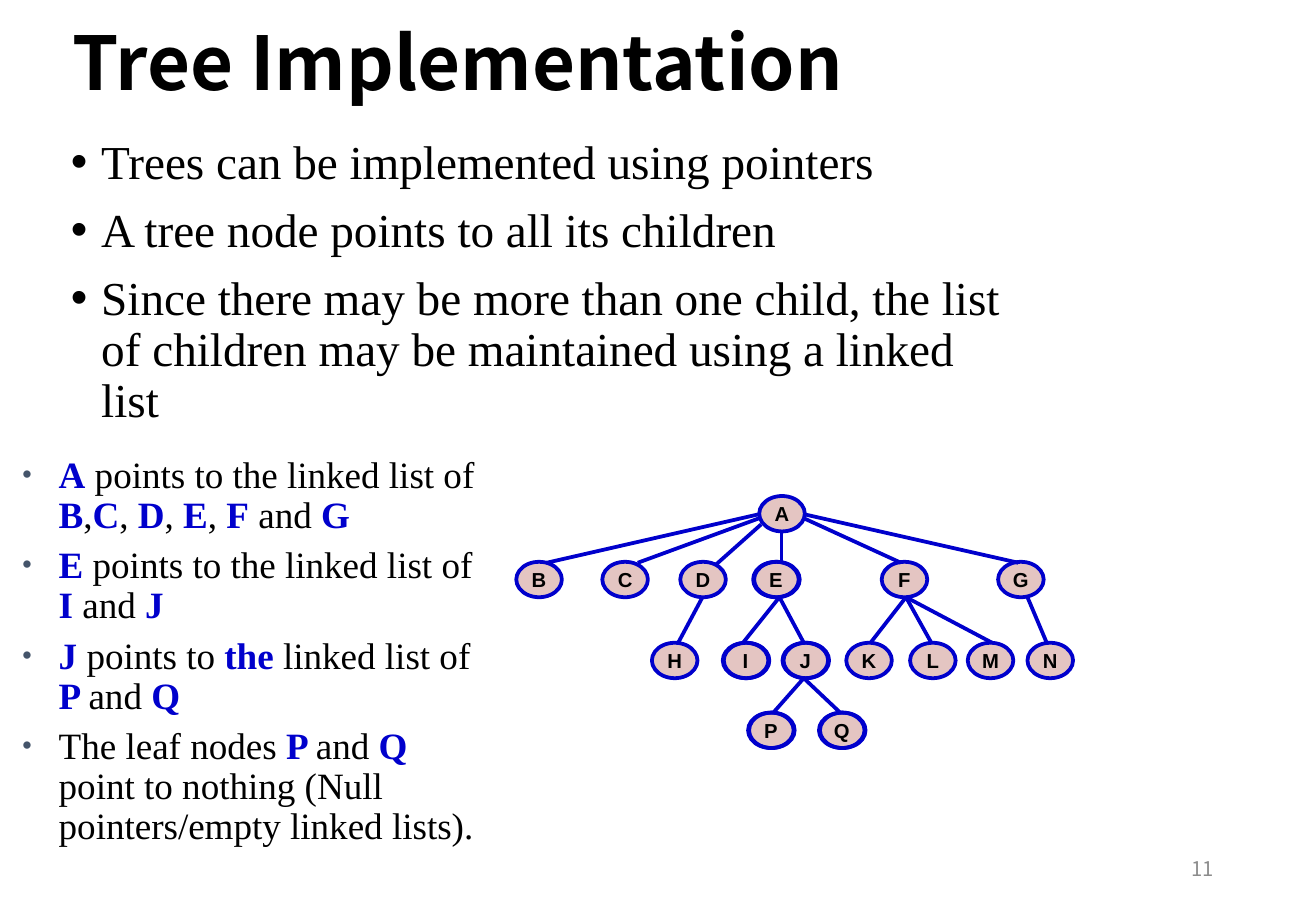
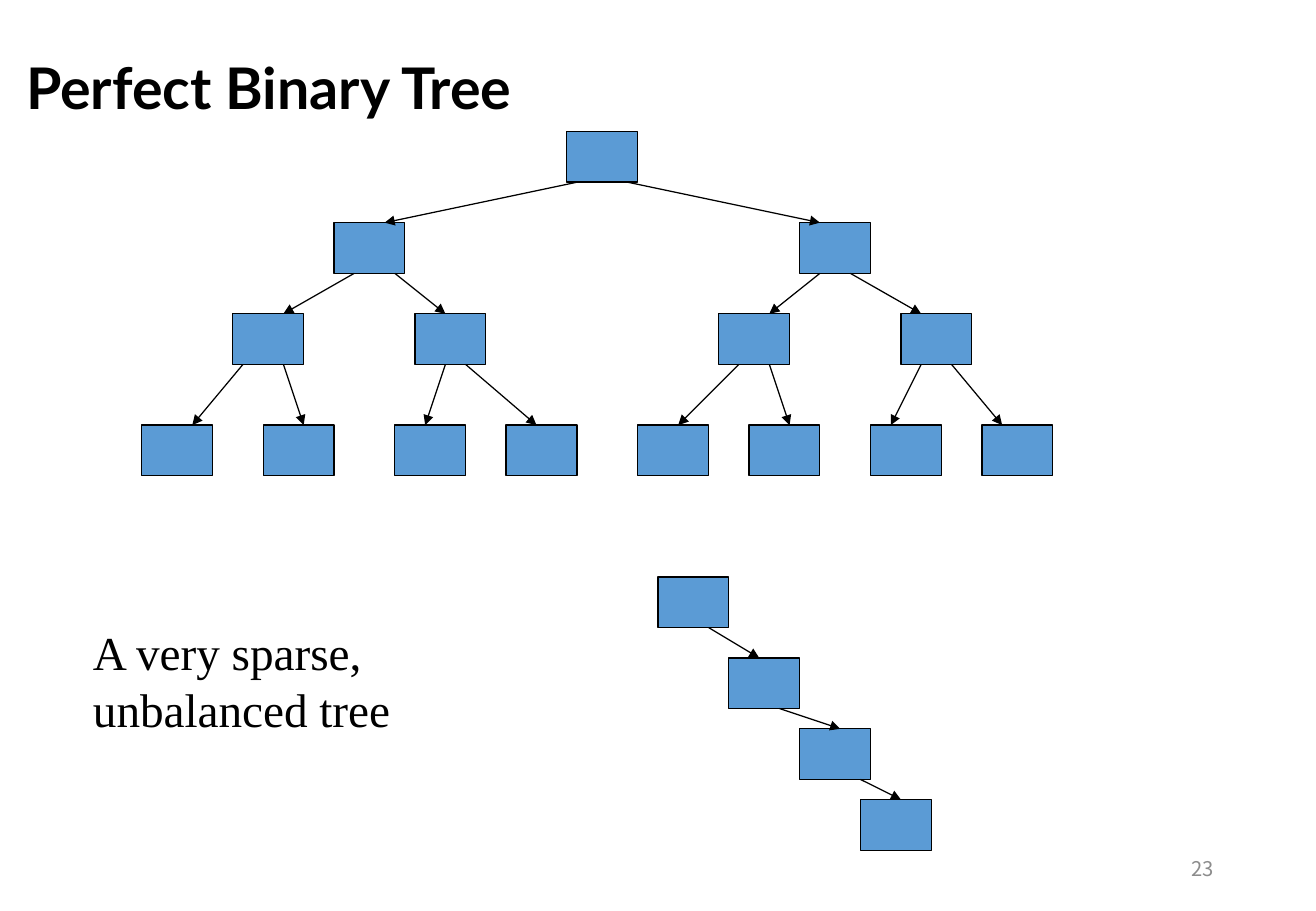
"""Build two slides on trees: linked-list implementation and binary shapes."""
from lxml.etree import SubElement
from pptx import Presentation
from pptx.dml.color import RGBColor
from pptx.enum.shapes import MSO_CONNECTOR as Conn, MSO_SHAPE as Shape
from pptx.enum.text import MSO_ANCHOR as Anchor, MSO_AUTO_SIZE as Fit, PP_ALIGN as Align
from pptx.oxml.ns import qn
from pptx.util import Pt

PX = 7620
BLACK, BLUE, PINK, BOX, GREY, SLATE = "000000", "0000CC", "E4C5C2", "5B9BD5", "8C8C8C", "44546A"
SERIF, SANS, HEAD, LABEL = "Times New Roman", "Noto Sans CJK SC", "Lato", "Arial"

POINTS = [
    "Trees can be implemented using pointers",
    "A tree node points to all its children",
    "Since there may be more than one child, the list of children may be maintained using a linked list",
]
NOTES = [
    "*A* points to the linked list of *B*,*C*, *D*, *E*, *F* and *G*",
    "*E *points to the linked list of *I* and *J*",
    "*J *points to* the *linked list of* P *and *Q*",
    "The leaf nodes* P *and *Q *point to nothing (Null pointers/empty linked lists).",
]

OVAL = (45, 35)
NODES = {
    490: {"A": 750},
    555: {"B": 510, "C": 595, "D": 672, "E": 744, "F": 871, "G": 986},
    635: {"H": 644, "I": 714, "J": 773, "K": 836, "L": 899, "M": 956, "N": 1015},
    704: {"P": 739, "Q": 809},
}
RINGS = "EIJPQ"
FAN = [
    (750, 508, 540, 556), (750, 512, 630, 556), (752, 518, 707, 558),
    (772, 526, 772, 556), (794, 512, 890, 556), (794, 508, 1006, 556),
]
TWIGS = [
    (694, 590, 635, [670]), (770, 590, 635, [734, 794]),
    (895, 590, 635, [860, 920, 980]), (1015, 590, 635, [1034]),
    (794, 670, 704, [764, 830]),
]

RECT = (70, 50)
LEVELS = [
    (130, [560]),
    (220, [330, 790]),
    (310, [230, 410, 710, 890]),
    (420, [140, 260, 390, 500, 630, 740, 860, 970]),
]
CHAIN = [(570, [650]), (650, [720]), (720, [790]), (790, [850])]
ARROWS = [
    [(570, 380), (620, 810)],
    [(350, 280), (390, 440), (810, 760), (840, 910)],
    [(240, 190), (280, 300), (440, 420), (460, 530),
     (730, 670), (760, 780), (910, 880), (940, 990)],
]
LINKS = [[(700, 750)], [(770, 830)], [(850, 890)]]


def emu(*nums):
    return [n * PX for n in nums]


def tint(code):
    return RGBColor.from_string(code)


def style(run, size, font, color=BLACK, bold=False):
    run.font.size, run.font.name, run.font.bold = Pt(size), font, bold
    run.font.color.rgb = tint(color)


def place(item, *at):
    item.left, item.top, item.width, item.height = emu(*at)


def head(slide, text, at, size, font, anchor):
    title = slide.shapes.title
    place(title, *at)
    frame = title.text_frame
    frame.text = text
    frame.auto_size, frame.vertical_anchor = Fit.NONE, anchor
    para = frame.paragraphs[0]
    para.alignment = Align.LEFT
    style(para.runs[0], size, font, bold=True)
    return frame


def box(slide, text, at, size, font, color=BLACK):
    frame = slide.shapes.add_textbox(*emu(*at)).text_frame
    frame.text, frame.word_wrap = text, True
    style(frame.paragraphs[0].runs[0], size, font, color)
    return frame


def number(slide, text):
    frame = box(slide, text, (918, 834, 293, 48), 12, SANS, GREY)
    frame.vertical_anchor = Anchor.MIDDLE
    frame.paragraphs[0].alignment = Align.RIGHT


def bullet(para, dent, color, scale):
    props = para._p.get_or_add_pPr()
    props.set("marL", str(dent * PX))
    props.set("indent", str(-dent * PX))
    SubElement(SubElement(props, qn("a:buClr")), qn("a:srgbClr"), val=color)
    SubElement(props, qn("a:buSzPct"), val=str(scale * 1000))
    SubElement(props, qn("a:buFont"), typeface=LABEL)
    SubElement(props, qn("a:buChar"), char="•")


def fill_list(body, lines, at, size, gap, dent, color=BLACK, scale=100):
    place(body, *at)
    frame = body.text_frame
    frame.auto_size = Fit.NONE
    for i, line in enumerate(lines):
        para = frame.add_paragraph() if i else frame.paragraphs[0]
        para.line_spacing, para.space_before = 0.9, Pt(gap)
        bullet(para, dent, color, scale)
        for j, part in enumerate(line.split("*")):
            if part:
                run = para.add_run()
                run.text = part
                style(run, size, SERIF, BLUE if j % 2 else BLACK, j % 2 == 1)


def node(slide, kind, x, y, size, fill, line, width):
    item = slide.shapes.add_shape(kind, *emu(x, y, *size))
    item.shadow.inherit = False
    if fill:
        item.fill.solid()
        item.fill.fore_color.rgb = tint(fill)
    else:
        item.fill.background()
    item.line.color.rgb, item.line.width = tint(line), Pt(width)
    return item


def oval(slide, x, y, fill=None):
    return node(slide, Shape.OVAL, x, y, OVAL, fill, BLUE, 2.25)


def label(item, text):
    frame = item.text_frame
    frame.text, frame.word_wrap = text, False
    frame.vertical_anchor = Anchor.MIDDLE
    frame.paragraphs[0].alignment = Align.CENTER
    style(frame.paragraphs[0].runs[0], 12, LABEL, bold=True)


def edge(slide, ends, color, width, arrow=False):
    line = slide.shapes.add_connector(Conn.STRAIGHT, *emu(*ends))
    line.line.color.rgb, line.line.width = tint(color), Pt(width)
    if arrow:
        SubElement(line.line._get_or_add_ln(), qn("a:tailEnd"), type="triangle")
    SubElement(line._element.spPr, qn("a:effectLst"))


def draw_tree(slide, rows, arrows):
    for y, lefts in rows:
        for x in lefts:
            node(slide, Shape.RECTANGLE, x, y, RECT, BOX, BLACK, 0.75)
    for (top, _), (low, _), pairs in zip(rows, rows[1:], arrows):
        for start, end in pairs:
            edge(slide, (start, top + RECT[1], end, low), BLACK, 0.75, True)


def lists(deck):
    slide = deck.slides.add_slide(deck.slide_layouts[3])
    head(slide, "Tree Implementation", (60, 10, 950, 150), 44, SANS, Anchor.TOP)
    fill_list(slide.placeholders[1], POINTS, (58, 131, 950, 289), 28, 10, 30)
    for y, row in NODES.items():
        for name, x in row.items():
            label(oval(slide, x, y, PINK), name)
            if name in RINGS:
                oval(slide, x + 1, y)
    twigs = [(x, y, end, low) for x, y, low, ends in TWIGS for end in ends]
    for ends in FAN + twigs:
        edge(slide, ends, BLUE, 2.25)
    fill_list(slide.placeholders[2], NOTES, (10, 445, 480, 389), 22, 6, 36, SLATE, 73)
    number(slide, "11")


def shapes(deck):
    slide = deck.slides.add_slide(deck.slide_layouts[5])
    frame = head(slide, "Perfect Binary Tree", (20, 52, 540, 68), 34, HEAD, Anchor.BOTTOM)
    frame.margin_left, frame.margin_right = emu(6, 6)
    frame.margin_top = frame.margin_bottom = 0
    draw_tree(slide, LEVELS, ARROWS)
    draw_tree(slide, CHAIN, LINKS)
    box(slide, "A very sparse, unbalanced tree", (80, 610, 440, 124), 28, SERIF)
    number(slide, "23")


def main():
    deck = Presentation()
    deck.slide_width, deck.slide_height = emu(1300, 900)
    lists(deck)
    shapes(deck)
    deck.save("out.pptx")


if __name__ == "__main__":
    main()
